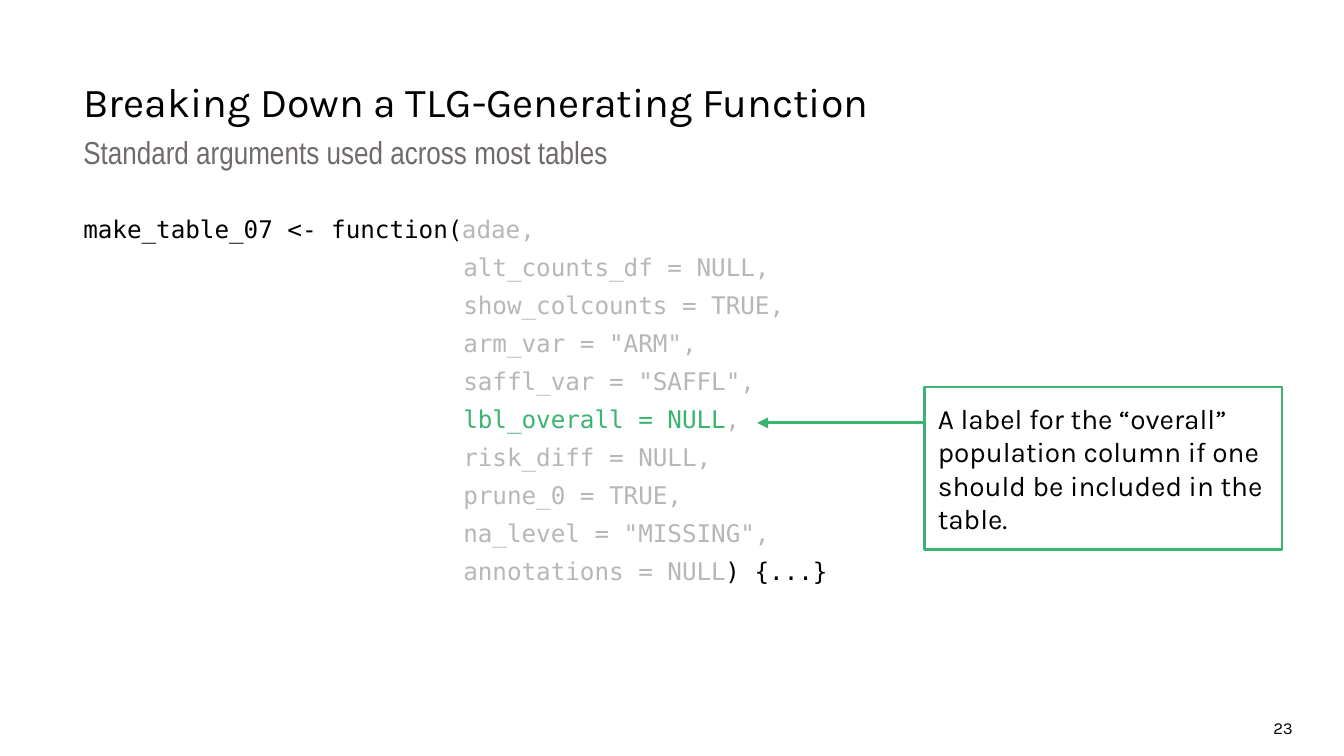
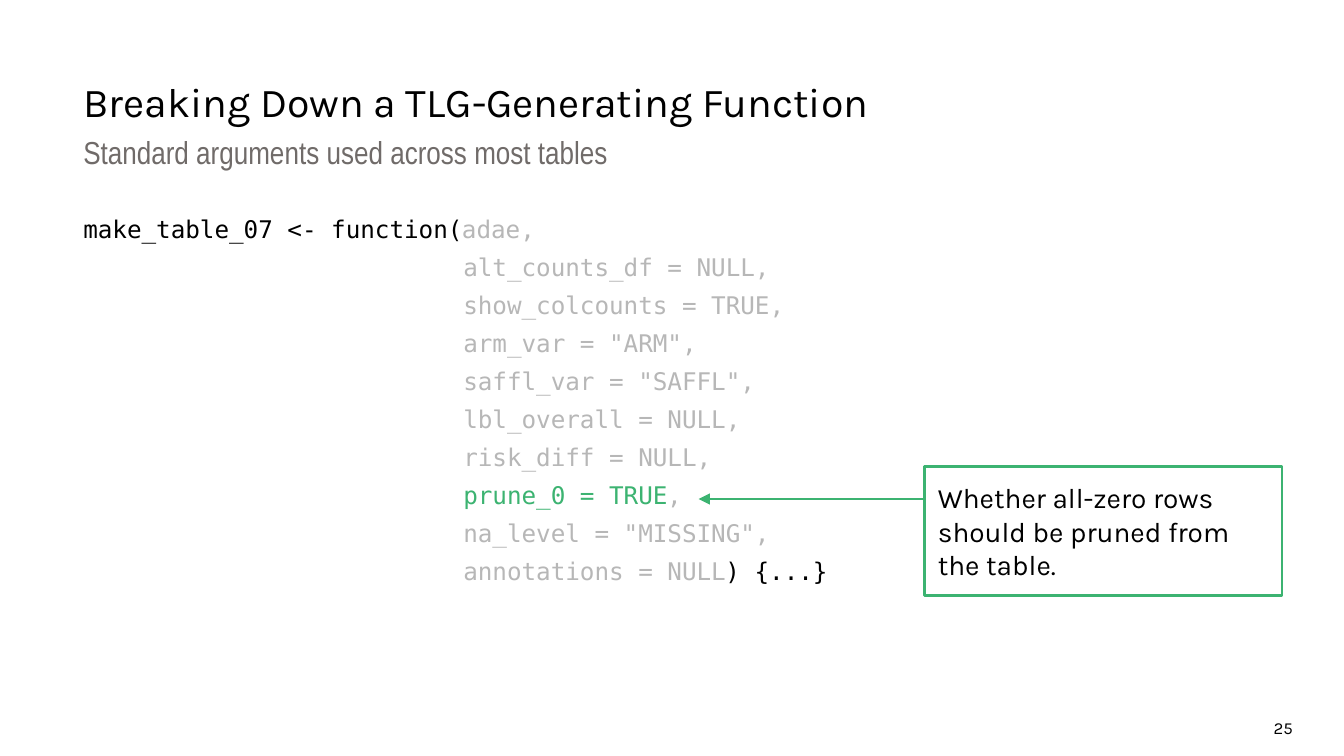
from lxml import etree
from pptx import Presentation
from pptx.dml.color import RGBColor
from pptx.enum.shapes import MSO_CONNECTOR, MSO_SHAPE
from pptx.enum.text import MSO_ANCHOR, PP_ALIGN
from pptx.oxml.ns import qn
from pptx.util import Inches, Pt

TOP, MIDDLE = MSO_ANCHOR.TOP, MSO_ANCHOR.MIDDLE
LEFT, RIGHT = PP_ALIGN.LEFT, PP_ALIGN.RIGHT
RECTANGLE, STRAIGHT = MSO_SHAPE.RECTANGLE, MSO_CONNECTOR.STRAIGHT

TITLE = "Breaking Down a TLG-Generating Function"
SUBTITLE = "Standard arguments used across most tables"
OPENING, CLOSING = "make_table_07 <- function(", ") {...}"
ARGUMENTS = [
    "adae",
    "alt_counts_df = NULL",
    "show_colcounts = TRUE",
    'arm_var = "ARM"',
    'saffl_var = "SAFFL"',
    "lbl_overall = NULL",
    "risk_diff = NULL",
    "prune_0 = TRUE",
    'na_level = "MISSING"',
    "annotations = NULL",
]
SLIDES = [
    {"number": "23", "argument": "lbl_overall = NULL", "top": 2.88, "height": 1.21,
     "note": "A label for the “overall” population column if one should be "
             "included in the table."},
    {"number": "25", "argument": "prune_0 = TRUE", "top": 3.47, "height": 0.96,
     "note": "Whether all-zero rows should be pruned from the table."},
]

BLACK, GREY, MUTED, GREEN, WHITE = "000000", "706B69", "B7B7B7", "3CB371", "FFFFFF"
TITLE_FONT = {"name": "Karla", "size": Pt(22)}
SUBTITLE_FONT = {"name": "Arial Narrow", "size": Pt(17)}
CODE_FONT = {"name": "DejaVu Sans Mono", "size": Pt(13)}
NOTE_FONT = {"name": "Karla", "size": Pt(15)}
NUMBER_FONT = {"name": "Karla", "size": Pt(9)}

SLIDE_WIDTH = 10
SLIDE_HEIGHT = SLIDE_WIDTH * 9 / 16
MARGIN = 0.62
CODE_TOP = 1.58
CHAR_WIDTH = 7.83 / 72
INDENT = len(OPENING) * CHAR_WIDTH
FIRST_ROW, ROW_PITCH = 1.73, 20.4 / 72
NOTE_LEFT, NOTE_WIDTH = 6.88, 2.66
ARROW_GAP = 0.12


def rgb(color):
    return RGBColor.from_string(color)


def set_frame(sp, insets, anchor=TOP):
    """Wrap the text and set its insets: left, top, right, bottom."""
    tf = sp.text_frame
    tf.word_wrap = True
    tf.vertical_anchor = anchor
    for side, inset in zip(("left", "top", "right", "bottom"), insets):
        setattr(tf, f"margin_{side}", Inches(inset))
    return tf


def add_run(p, text, font, color):
    r = p.add_run()
    r.text = text
    for name, value in font.items():
        setattr(r.font, name, value)
    r.font.color.rgb = rgb(color)


def add_text(s, box, insets, text, font, color, anchor=TOP, align=LEFT, spacing=1.0):
    sp = s.shapes.add_textbox(*map(Inches, box))
    p = set_frame(sp, insets, anchor).paragraphs[0]
    p.alignment, p.line_spacing = align, spacing
    add_run(p, text, font, color)


def add_code(s, highlighted):
    sp = s.shapes.add_textbox(*map(Inches, (MARGIN, CODE_TOP, 9, 3.68)))
    tf = set_frame(sp, (0, 0, 0, 0))
    last = len(ARGUMENTS) - 1
    for i, argument in enumerate(ARGUMENTS):
        p = tf.paragraphs[0] if i == 0 else tf.add_paragraph()
        p.line_spacing, p.space_before = 1.05, Pt(4)
        if i == 0:
            add_run(p, OPENING, CODE_FONT, BLACK)
        else:
            p._p.get_or_add_pPr().set("marL", str(Inches(INDENT)))
        if argument == highlighted:
            add_run(p, argument, CODE_FONT, GREEN)
            add_run(p, ",", CODE_FONT, MUTED)
        else:
            add_run(p, argument + ("," if i < last else ""), CODE_FONT, MUTED)
    add_run(p, CLOSING, CODE_FONT, BLACK)


def add_note(s, text, top, height):
    sp = s.shapes.add_shape(RECTANGLE, *map(Inches, (NOTE_LEFT, top, NOTE_WIDTH, height)))
    sp.shadow.inherit = False
    sp.fill.background()
    sp.line.color.rgb = rgb(GREEN)
    sp.line.width = Pt(1.5)
    p = set_frame(sp, (0.1, 0.1, 0.1, 0.1), MIDDLE).paragraphs[0]
    p.alignment = LEFT
    add_run(p, text, NOTE_FONT, BLACK)


def add_arrow(s, argument):
    """Point from the note to just behind the argument and its comma."""
    y = FIRST_ROW + ARGUMENTS.index(argument) * ROW_PITCH
    tip = MARGIN + INDENT + (len(argument) + 1) * CHAR_WIDTH + ARROW_GAP
    line = s.shapes.add_connector(STRAIGHT, *map(Inches, (NOTE_LEFT, y, tip, y)))
    line.line.color.rgb = rgb(GREEN)
    line.line.width = Pt(1.5)
    ln = line._element.spPr.find(qn("a:ln"))
    etree.SubElement(ln, qn("a:tailEnd"), type="triangle")
    etree.SubElement(line._element.spPr, qn("a:effectLst"))


def add_slide(prs, content):
    s = prs.slides.add_slide(prs.slide_layouts[6])
    s.background.fill.solid()
    s.background.fill.fore_color.rgb = rgb(WHITE)
    add_text(s, (9.02, 5.21, 0.6, 0.28), (0.1, 0.13, 0, 0),
             content["number"], NUMBER_FONT, BLACK, align=RIGHT)
    add_text(s, (MARGIN, 0.47, 8.13, 0.42), (0, 0.1, 0.1, 0.1),
             TITLE, TITLE_FONT, BLACK)
    add_text(s, (MARGIN, 0.97, 8.13, 0.35), (0, 0, 0.1, 0.05),
             SUBTITLE, SUBTITLE_FONT, GREY, anchor=MIDDLE, spacing=1.05)
    add_code(s, content["argument"])
    add_note(s, content["note"], content["top"], content["height"])
    add_arrow(s, content["argument"])


def main():
    prs = Presentation()
    prs.slide_width, prs.slide_height = Inches(SLIDE_WIDTH), Inches(SLIDE_HEIGHT)
    for content in SLIDES:
        add_slide(prs, content)
    prs.save("out.pptx")


if __name__ == "__main__":
    main()
